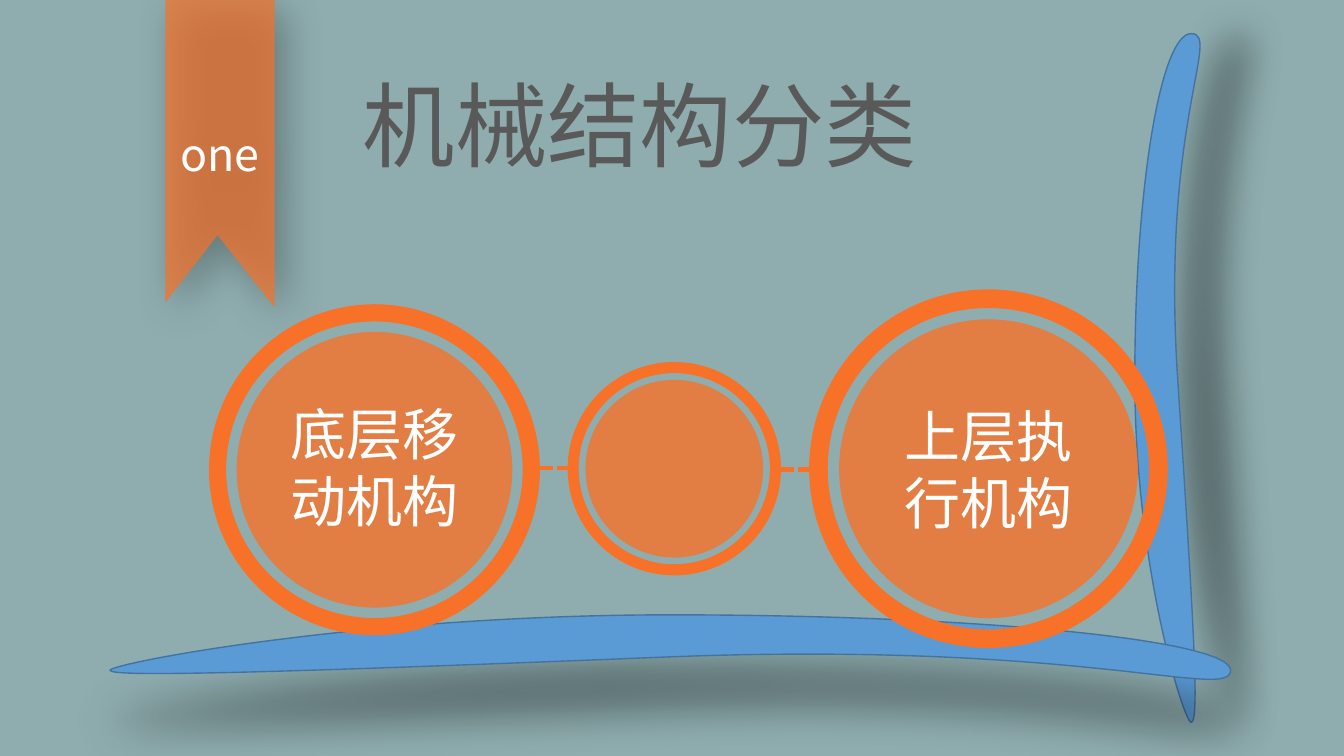
from dataclasses import dataclass

from lxml.etree import SubElement
from pptx import Presentation
from pptx.dml.color import RGBColor
from pptx.enum.dml import MSO_LINE
from pptx.enum.shapes import MSO_CONNECTOR, MSO_SHAPE
from pptx.enum.text import MSO_ANCHOR, MSO_AUTO_SIZE, PP_ALIGN
from pptx.oxml.ns import qn
from pptx.util import Inches, Pt

COLORS = {
    "background": "8FADAF",
    "orange": "F77128",
    "blade": "5B9BD5",
    "blade_edge": "43739E",
    "title": "595959",
    "label": "FFFFFF",
    "shadow": "000000",
}
FONT = "Noto Sans CJK SC"
SLIDE_WIDTH, SLIDE_HEIGHT = Inches(13.333), Inches(7.5)
COLUMNS, ROWS = 160, 90
RING_SHARE = 0.052
DISC_SHARE = 0.833

Point = tuple[float, float]
Curve = tuple[Point, Point, Point]


@dataclass(frozen=True)
class Shadow:
    blur: float
    distance: float
    degrees: int


@dataclass(frozen=True)
class Blade:
    top_left: Point
    bottom_right: Point
    start: Point
    curves: tuple[Curve, ...]
    shadow: Shadow
    rotation: int = 0


@dataclass(frozen=True)
class Badge:
    center: Point
    size: float
    label: str = ""
    lift: float = 0


@dataclass(frozen=True)
class Link:
    left: Badge
    right: Badge
    level: float


BLADES = (
    Blade((98, 41.1), (180, 48.9), (98, 47.8), (
        ((98, 47), (116.3, 41.1), (139, 41.1)),
        ((161.7, 41.1), (180, 44.2), (180, 47.8)),
        ((180, 51.5), (169.4, 44.2), (139, 46.2)),
        ((108.6, 48.2), (98, 48.8), (98, 47.8)),
    ), Shadow(28, 33, 0), rotation=270),
    Blade((13.1, 73.2), (146.5, 80.9), (13.1, 79.8), (
        ((13.1, 79), (43, 73.2), (79.8, 73.2)),
        ((116.6, 73.2), (146.5, 76.2), (146.5, 79.8)),
        ((146.5, 83.5), (129.2, 76.3), (79.8, 78.2)),
        ((30.4, 80.2), (13.1, 80.6), (13.1, 79.8)),
    ), Shadow(32, 35, 90)),
)
RIBBON = [(19.7, 0), (32.7, 0), (32.7, 36.6), (25.9, 28), (19.7, 36)]
BASE = Badge((44.58, 55.92), 39.4, "底层移动机构", lift=0.8)
HUB = Badge((80.28, 55.8), 25.4)
UPPER = Badge((117.68, 55.8), 42.7, "上层执行机构")
LINKS = (Link(HUB, UPPER, 55.9), Link(BASE, HUB, 55.7))


def col(columns: float) -> int:
    return round(SLIDE_WIDTH * columns / COLUMNS)


def row(rows: float) -> int:
    return round(SLIDE_HEIGHT * rows / ROWS)


def color(key: str) -> RGBColor:
    return RGBColor.from_string(COLORS[key])


def paint(shape, fill: str, opacity: int = 100, edge: str = "") -> None:
    shape.shadow.inherit = False
    shape.fill.solid()
    shape.fill.fore_color.rgb = color(fill)
    if opacity < 100:
        tint = shape._element.spPr.find(qn("a:solidFill"))[0]
        SubElement(tint, qn("a:alpha"), val=str(opacity * 1000))
    if edge:
        shape.line.color.rgb = color(edge)
        shape.line.width = Pt(1)
    else:
        shape.line.fill.background()


def cast_shadow(shape, shadow: Shadow) -> None:
    effects = shape._element.spPr.find(qn("a:effectLst"))
    outer = SubElement(
        effects, qn("a:outerShdw"), blurRad=str(Pt(shadow.blur)),
        dist=str(Pt(shadow.distance)), dir=str(shadow.degrees * 60000),
        algn="ctr", rotWithShape="0")
    tint = SubElement(outer, qn("a:srgbClr"), val=COLORS["shadow"])
    SubElement(tint, qn("a:alpha"), val="40000")


def write(shape, text: str, *, size: float, ink: str = "label",
          align: PP_ALIGN = PP_ALIGN.CENTER,
          anchor: MSO_ANCHOR = MSO_ANCHOR.MIDDLE, wrap: bool = True) -> None:
    frame = shape.text_frame
    frame.word_wrap = wrap
    frame.vertical_anchor = anchor
    paragraph = frame.paragraphs[0]
    paragraph.alignment = align
    run = paragraph.add_run()
    run.text = text
    run.font.size = Pt(size)
    run.font.color.rgb = color(ink)
    run.font.name = FONT
    SubElement(run._r.get_or_add_rPr(), qn("a:ea"), typeface=FONT)


def draw_outline(shapes, points: list[Point]):
    corners = [(col(x), row(y)) for x, y in points]
    builder = shapes.build_freeform(*corners[0])
    builder.add_line_segments(corners[1:], close=True)
    return builder.convert_to_shape()


def draw_blade(shapes, blade: Blade) -> None:
    (left, top), (right, bottom) = blade.top_left, blade.bottom_right
    outline = draw_outline(
        shapes, [(left, top), (right, top), (right, bottom), (left, bottom)])
    contour = next(outline._element.iter(qn("a:path")))
    for segment in list(contour):
        contour.remove(segment)
    steps = [("a:moveTo", (blade.start,))]
    steps += [("a:cubicBezTo", curve) for curve in blade.curves]
    for tag, points in steps:
        segment = SubElement(contour, qn(tag))
        for x, y in points:
            SubElement(segment, qn("a:pt"), x=str(col(x - left)), y=str(row(y - top)))
    SubElement(contour, qn("a:close"))
    outline.rotation = blade.rotation
    paint(outline, "blade", edge="blade_edge")
    cast_shadow(outline, blade.shadow)


def draw_ribbon(shapes) -> None:
    ribbon = draw_outline(shapes, RIBBON)
    paint(ribbon, "orange", opacity=70)
    cast_shadow(ribbon, Shadow(30, 10, 45))
    write(ribbon, "one", size=32)


def draw_round(shapes, kind: MSO_SHAPE, center: Point, size: float):
    x, y = center
    return shapes.add_shape(kind, col(x - size / 2), row(y - size / 2),
                            col(size), row(size))


def draw_badge(shapes, badge: Badge) -> None:
    parts = shapes.add_group_shape().shapes
    ring = draw_round(parts, MSO_SHAPE.DONUT, badge.center, badge.size)
    ring.adjustments[0] = RING_SHARE
    paint(ring, "orange")
    disc = draw_round(parts, MSO_SHAPE.OVAL, badge.center, badge.size * DISC_SHARE)
    paint(disc, "orange", opacity=80)
    if badge.label:
        write(disc, badge.label, size=40)
        disc.text_frame.margin_bottom += row(badge.lift)


def draw_link(shapes, link: Link) -> None:
    line = shapes.add_connector(
        MSO_CONNECTOR.STRAIGHT,
        col(link.left.center[0] + link.left.size / 2), row(link.level),
        col(link.right.center[0] - link.right.size / 2), row(link.level))
    line.line.color.rgb = color("orange")
    line.line.width = Pt(3)
    line.line.dash_style = MSO_LINE.SQUARE_DOT
    SubElement(line._element.spPr, qn("a:effectLst"))


def main() -> None:
    deck = Presentation()
    deck.slide_width, deck.slide_height = SLIDE_WIDTH, SLIDE_HEIGHT
    slide = deck.slides.add_slide(deck.slide_layouts[6])
    slide.background.fill.solid()
    slide.background.fill.fore_color.rgb = color("background")
    shapes = slide.shapes
    for blade in BLADES:
        draw_blade(shapes, blade)
    draw_ribbon(shapes)
    title = shapes.add_textbox(col(42), row(7.5), col(68.4), row(14.5))
    write(title, "机械结构分类", size=66, ink="title", align=PP_ALIGN.LEFT,
          anchor=MSO_ANCHOR.TOP, wrap=False)
    title.text_frame.auto_size = MSO_AUTO_SIZE.SHAPE_TO_FIT_TEXT
    for badge in (BASE, HUB, UPPER):
        draw_badge(shapes, badge)
    for link in LINKS:
        draw_link(shapes, link)
    deck.save("out.pptx")


if __name__ == "__main__":
    main()
